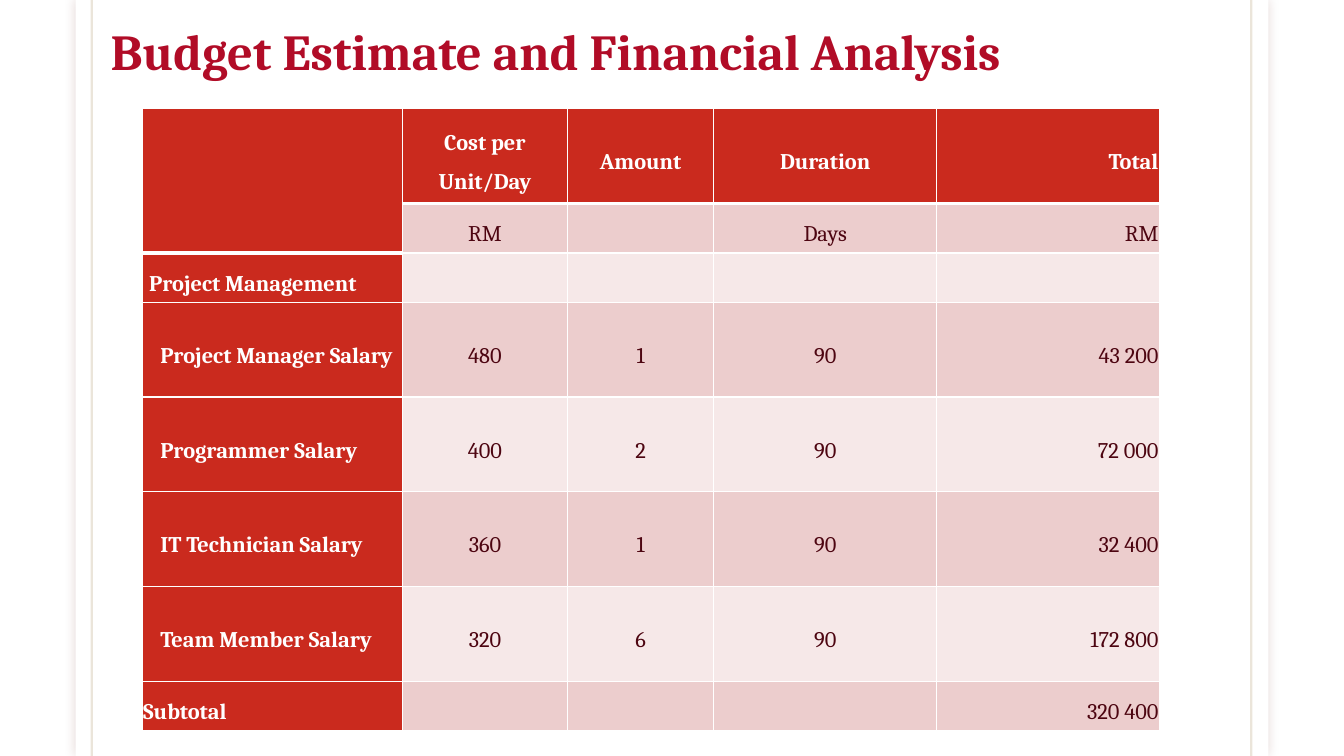
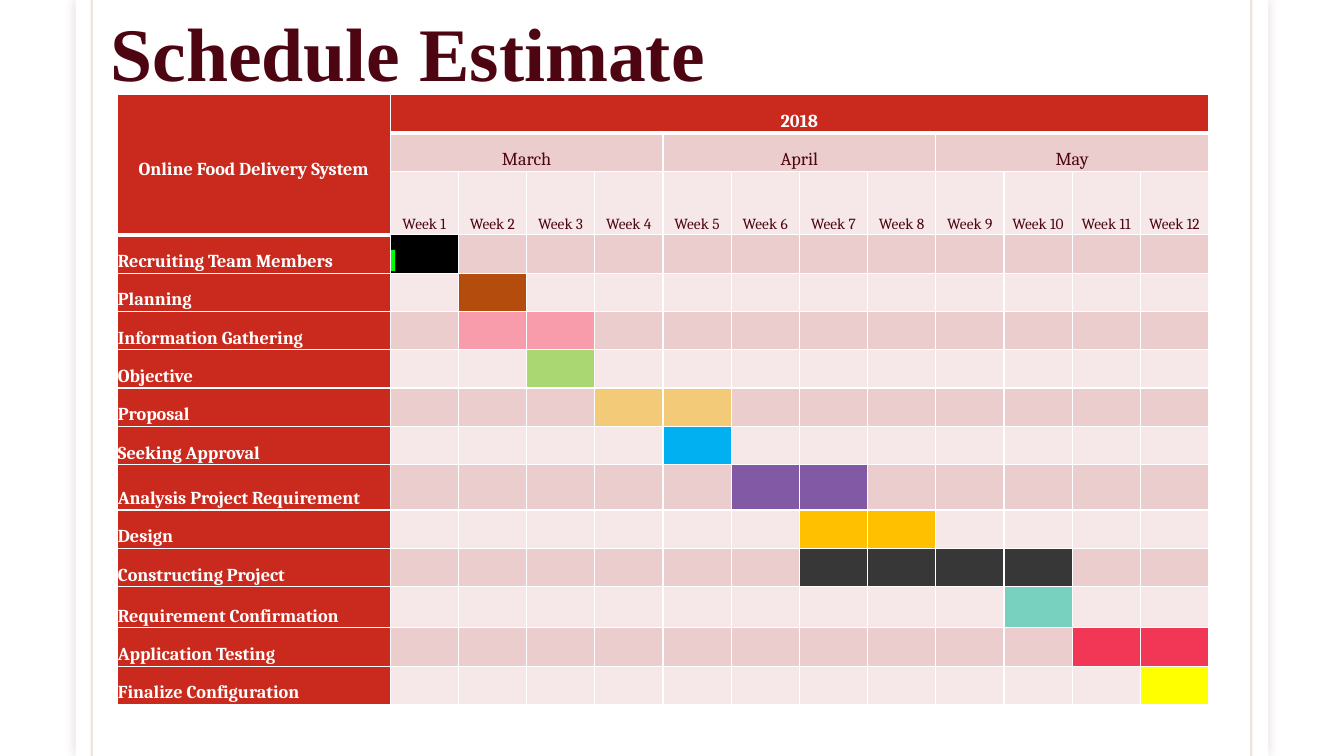
from lxml.etree import SubElement
from pptx import Presentation
from pptx.dml.color import RGBColor
from pptx.enum.shapes import MSO_CONNECTOR, MSO_SHAPE
from pptx.enum.text import MSO_ANCHOR, PP_ALIGN
from pptx.oxml.ns import qn
from pptx.util import Inches, Pt

RED, WINE, WHITE = "CA2A1E", "4D0511", "FFFFFF"
BANDS = ("F6E8E8", "ECCDCD")
LEFT, MID, RIGHT = PP_ALIGN.LEFT, PP_ALIGN.CENTER, PP_ALIGN.RIGHT

COSTS = [
    ("", "Cost per Unit/Day", "Amount", "Duration", "Total"),
    ("", "RM", "", "Days", "RM"),
    ("Project Management", "", "", "", ""),
    ("Project Manager Salary", "480", "1", "90", "43 200"),
    ("Programmer Salary", "400", "2", "90", "72 000"),
    ("IT Technician Salary", "360", "1", "90", "32 400"),
    ("Team Member Salary", "320", "6", "90", "172 800"),
    ("Subtotal", "", "", "", "320 400"),
]
# Task, first week, last week, colour, row height
TASKS = [
    ("Recruiting Team Members", 1, 1, "000000", 0.38),
    ("Planning", 2, 2, "B34C0D", 0.38),
    ("Information Gathering", 2, 3, "F89BAA", 0.38),
    ("Objective", 3, 3, "ABD772", 0.38),
    ("Proposal", 4, 5, "F3CA77", 0.38),
    ("Seeking Approval", 5, 5, "00B0F0", 0.38),
    ("Analysis Project Requirement", 6, 7, "8159A4", 0.45),
    ("Design", 7, 8, "FFC000", 0.38),
    ("Constructing Project", 7, 10, "373737", 0.38),
    ("Requirement Confirmation", 10, 10, "78D0BF", 0.41),
    ("Application Testing", 11, 12, "F23655", 0.38),
    ("Finalize Configuration", 12, 12, "FFFF00", 0.38),
]


def tint(code):
    return RGBColor.from_string(code)


def fade(color, share):
    """Give a colour element an opacity in percent."""
    SubElement(color, qn("a:alpha"), val=str(share * 1000))


class Deck:
    def __init__(self):
        self.file = Presentation()
        self.file.slide_width = Inches(13.33)
        self.file.slide_height = Inches(7.5)
        self.slide = None

    def page(self):
        """Start a slide with the shared paper sheet and side rules."""
        self.slide = self.file.slides.add_slide(self.file.slide_layouts[6])
        sheet = self.box(0.75, 0, 11.83, 7.5, WHITE)
        glow = SubElement(sheet._element.spPr.find(qn("a:effectLst")),
                          qn("a:outerShdw"), blurRad=str(Pt(7)), dist="0",
                          dir="0", algn="ctr", rotWithShape="0")
        fade(SubElement(glow, qn("a:srgbClr"), val="65150F"), 15)
        for x in (0.91, 12.41):
            self.rule(x)

    def box(self, x, y, w, h, color):
        shape = self.slide.shapes.add_shape(
            MSO_SHAPE.RECTANGLE, Inches(x), Inches(y), Inches(w), Inches(h))
        shape.shadow.inherit = False
        shape.fill.solid()
        shape.fill.fore_color.rgb = tint(color)
        shape.line.fill.background()
        return shape

    def rule(self, x):
        line = self.slide.shapes.add_connector(
            MSO_CONNECTOR.STRAIGHT, Inches(x), 0, Inches(x), Inches(7.5))
        line.line.width = Pt(1.5)
        line.line.color.rgb = tint("79540B")
        props = line._element.spPr
        fade(next(props.iter(qn("a:srgbClr"))), 15)
        SubElement(props, qn("a:effectLst"))

    def text(self, para, words, size, color, bold, font="Cambria"):
        run = para.add_run()
        run.text = words
        run.font.name = font
        run.font.size = Pt(size)
        run.font.bold = bold
        run.font.color.rgb = tint(color)

    def title(self, words, y, w, h, size, color, font, anchor, wrap, space):
        frame = self.slide.shapes.add_textbox(
            Inches(1), Inches(y), Inches(w), Inches(h)).text_frame
        frame.word_wrap = wrap
        frame.vertical_anchor = anchor
        frame.paragraphs[0].line_spacing = space
        self.text(frame.paragraphs[0], words, size, color, True, font)

    def table(self, x, y, cols, rows):
        grid = self.slide.shapes.add_table(
            len(rows), len(cols), Inches(x), Inches(y),
            Inches(sum(cols)), Inches(sum(rows))).table
        grid.first_row = grid.horz_banding = False
        for col, width in zip(grid.columns, cols):
            col.width = Inches(width)
        for row, height in zip(grid.rows, rows):
            row.height = Inches(height)
        return grid

    def cell(self, cell, fill, words="", size=16, align=MID,
             anchor=MSO_ANCHOR.MIDDLE, indent=0, base=1):
        """Style a cell; base is the width of its lower border."""
        cell.margin_right = cell.margin_top = cell.margin_bottom = Inches(0.01)
        cell.margin_left = Inches(0.01 + indent)
        cell.vertical_anchor = anchor
        props = cell._tc.get_or_add_tcPr()
        for side, width in (("L", 1), ("R", 1), ("B", base)):
            edge = SubElement(props, qn("a:ln" + side), w=str(Pt(width)))
            SubElement(SubElement(edge, qn("a:solidFill")),
                       qn("a:srgbClr"), val=WHITE)
        cell.fill.solid()
        cell.fill.fore_color.rgb = tint(fill)
        if words:
            para = cell.text_frame.paragraphs[0]
            para.alignment = align
            para.line_spacing = 1.5
            para.space_after = Pt(8)
            head = fill == RED
            self.text(para, words, size, WHITE if head else WINE, head)


def budget(deck):
    deck.page()
    deck.title("Budget Estimate and Financial Analysis", 0.17, 10.5, 0.68, 36,
               "B10C27", "Cambria", MSO_ANCHOR.BOTTOM, True, 0.85)
    rows = [0.94, 0.49, 0.49] + [0.94] * 4 + [0.49]
    grid = deck.table(1.41, 1.08, [2.58, 1.64, 1.45, 2.21, 2.21], rows)
    for r, row in enumerate(COSTS):
        for c, words in enumerate(row):
            head = r == 0 or c == 0
            indent = 0
            if c == 0 and r > 1:
                indent = {2: 0.06, 7: 0}.get(r, 0.17)
            deck.cell(grid.cell(r, c), RED if head else BANDS[r % 2], words,
                      align={0: LEFT, 4: RIGHT}.get(c, MID), indent=indent,
                      base=3 if r == 0 or (r, c) == (1, 0) else 1)
    grid.cell(0, 0).merge(grid.cell(1, 0))


def schedule(deck):
    deck.page()
    deck.title("Schedule Estimate", 0.01, 6.16, 1.01, 54, WINE,
               "Times New Roman", MSO_ANCHOR.TOP, False, 1)
    weeks = range(1, 13)
    low = MSO_ANCHOR.BOTTOM
    rows = [0.38, 0.38, 0.63] + [task[-1] for task in TASKS]
    grid = deck.table(1.16, 0.94, [2.71] + [(10.83 - 2.71) / 12] * 12, rows)

    months = {1: "March", 5: "April", 9: "May"}
    for r in range(3):
        deck.cell(grid.cell(r, 0), RED, size=13, base=3,
                  words="" if r else "Online Food Delivery System")
    for week in weeks:
        deck.cell(grid.cell(0, week), RED, "2018" if week == 1 else "", 13,
                  anchor=low, base=3)
        deck.cell(grid.cell(1, week), BANDS[1], months.get(week, ""), 13,
                  anchor=low)
        deck.cell(grid.cell(2, week), BANDS[0], f"Week {week}", 11, anchor=low)
    grid.cell(0, 0).merge(grid.cell(2, 0))
    grid.cell(0, 1).merge(grid.cell(0, 12))
    for week in months:
        grid.cell(1, week).merge(grid.cell(1, week + 3))

    for r, (name, first, last, color, _) in enumerate(TASKS, 3):
        deck.cell(grid.cell(r, 0), RED, name, 13, LEFT, low)
        for week in weeks:
            busy = first <= week <= last
            deck.cell(grid.cell(r, week), color if busy else BANDS[r % 2])
    deck.box(3.88, 2.48, 0.04, 0.21, "00FF00")


def main():
    deck = Deck()
    budget(deck)
    schedule(deck)
    deck.file.save("out.pptx")


if __name__ == "__main__":
    main()
